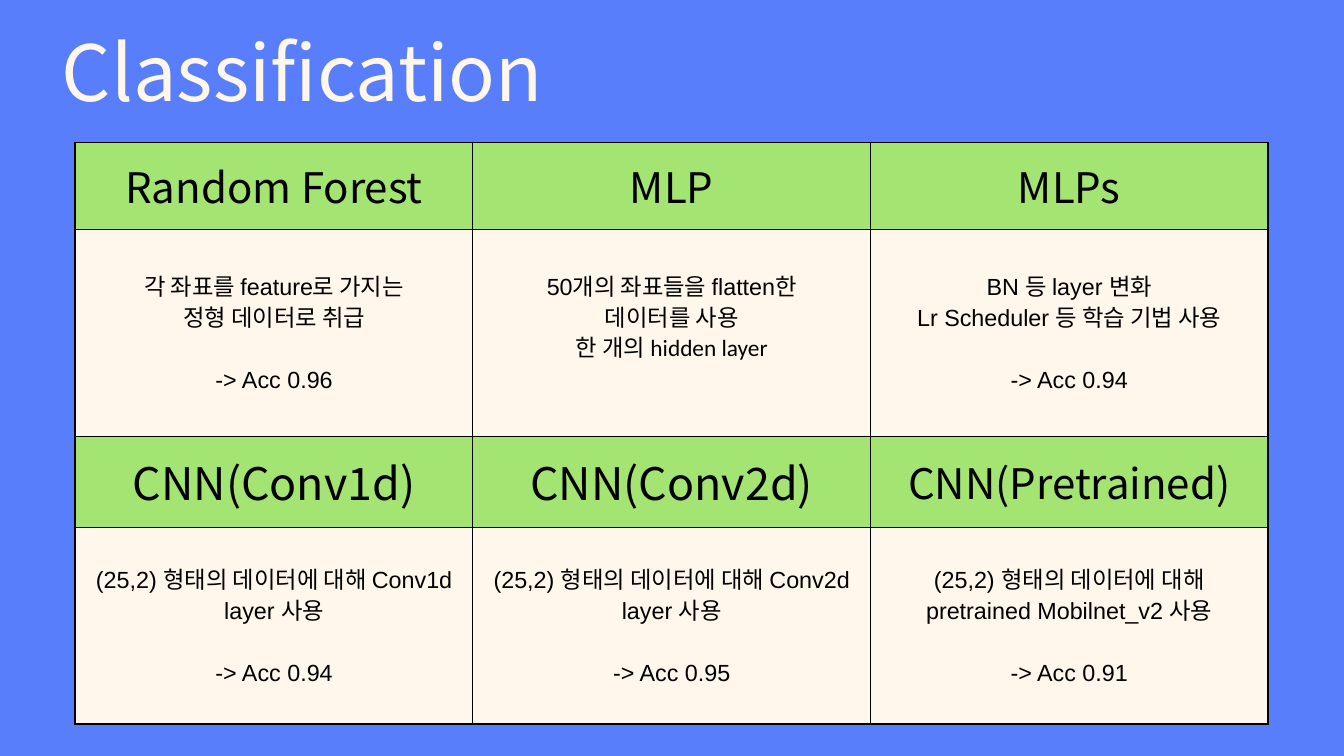
from lxml.etree import SubElement
from pptx import Presentation
from pptx.dml.color import RGBColor
from pptx.enum.text import MSO_ANCHOR, MSO_AUTO_SIZE, PP_ALIGN
from pptx.oxml.ns import qn
from pptx.util import Inches, Pt

WIDE, HIGH = Inches(20), Inches(11.25)
BLUE, GREEN, CREAM, BLACK = "587EFB", "A4E473", "FFF6EC", "000000"
SANS, BODY, ALT = "Noto Sans CJK KR", "Arial", "Calibri"
PAD = Inches(0.21)
LINE = Pt(32.5)
COLS = 3
ROWS = [1.23, 3.08, 1.28, 2.93]

# Each model: name, name size, lines of (text, font), score
MODELS = [
    ("Random Forest", 45, [("각 좌표를 feature로 가지는", BODY),
                           ("정형 데이터로 취급", ALT)], "0.96"),
    ("MLP", 45, [("50개의 좌표들을 flatten한", BODY), ("데이터를 사용", ALT),
                 ("한 개의 hidden layer", ALT)], None),
    ("MLPs", 45, [("BN 등 layer 변화", BODY),
                  ("Lr Scheduler 등 학습 기법 사용", BODY)], "0.94"),
    ("CNN(Conv1d)", 48, [("(25,2) 형태의 데이터에 대해 Conv1d layer 사용", BODY)], "0.94"),
    ("CNN(Conv2d)", 48, [("(25,2) 형태의 데이터에 대해 Conv2d layer 사용", BODY)], "0.95"),
    ("CNN(Pretrained)", 45,
     [("(25,2) 형태의 데이터에 대해 pretrained Mobilnet_v2 사용", BODY)], "0.91"),
]


def color(code):
    return RGBColor.from_string(code)


def style(par, font, size, lead, code=BLACK, align=PP_ALIGN.CENTER):
    par.alignment = align
    par.line_spacing = lead
    par.font.name = font
    par.font.size = Pt(size)
    par.font.color.rgb = color(code)


def edge(cell, row, col):
    """Draw thick lines on the outside of the grid, thin ones inside."""
    outer = {"lnL": col == 0, "lnR": col == COLS - 1,
             "lnT": row == 0, "lnB": row == len(ROWS) - 1}
    props = cell._tc.get_or_add_tcPr()
    for tag, thick in outer.items():
        line = SubElement(props, qn("a:" + tag), w=str(Pt(2.25 if thick else 1.5)))
        fill = SubElement(line, qn("a:solidFill"))
        SubElement(fill, qn("a:srgbClr"), val=BLACK)


def frame(cell, row, col, code):
    edge(cell, row, col)
    cell.fill.solid()
    cell.fill.fore_color.rgb = color(code)
    cell.vertical_anchor = MSO_ANCHOR.MIDDLE
    cell.margin_left = cell.margin_right = PAD
    cell.margin_top = cell.margin_bottom = PAD


def head(cell, name, size):
    par = cell.text_frame.paragraphs[0]
    par.text = name
    style(par, SANS, size, Pt(size * 1.4))


def note(cell, lines, score):
    """Write the notes, with the score one line further down."""
    if score:
        lines = lines + [(f"-> Acc {score}", BODY)]
    else:
        cell.margin_bottom = PAD + LINE
    text = cell.text_frame
    text.text = "\n".join(words for words, font in lines)
    for par, (words, font) in zip(text.paragraphs, lines):
        style(par, font, 25, LINE)
    if score:
        text.paragraphs[-1].space_before = LINE


def title(slide, box):
    shape = slide.shapes.title
    shape.left, shape.top, shape.width, shape.height = box
    text = shape.text_frame
    text.text = "Classification"
    text.margin_left = text.margin_right = text.margin_top = text.margin_bottom = 0
    text.vertical_anchor = MSO_ANCHOR.TOP
    text.word_wrap = True
    text.auto_size = MSO_AUTO_SIZE.SHAPE_TO_FIT_TEXT
    style(text.paragraphs[0], SANS, 83, Pt(83), CREAM, PP_ALIGN.LEFT)


def grid(slide, box):
    left, top, width, height = box
    table = slide.shapes.add_table(len(ROWS), COLS, left, top, width, height).table
    table.first_row = table.horz_banding = False
    for row, share in zip(table.rows, ROWS):
        row.height = int(height * share / sum(ROWS))
    for i, (name, size, lines, score) in enumerate(MODELS):
        row, col = i // COLS * 2, i % COLS
        upper, lower = table.cell(row, col), table.cell(row + 1, col)
        frame(upper, row, col, GREEN)
        head(upper, name, size)
        frame(lower, row + 1, col, CREAM)
        note(lower, lines, score)


def main():
    deck = Presentation()
    deck.slide_width, deck.slide_height = WIDE, HIGH
    slide = deck.slides.add_slide(deck.slide_layouts[5])
    slide.background.fill.solid()
    slide.background.fill.fore_color.rgb = color(BLUE)

    # Heading above, grid of models below
    title(slide, (Inches(0.92), Inches(0.59), Inches(10.64), Inches(1.22)))
    grid(slide, (Inches(1.12), Inches(2.12), Inches(17.75), Inches(sum(ROWS))))
    deck.save("out.pptx")


if __name__ == "__main__":
    main()
